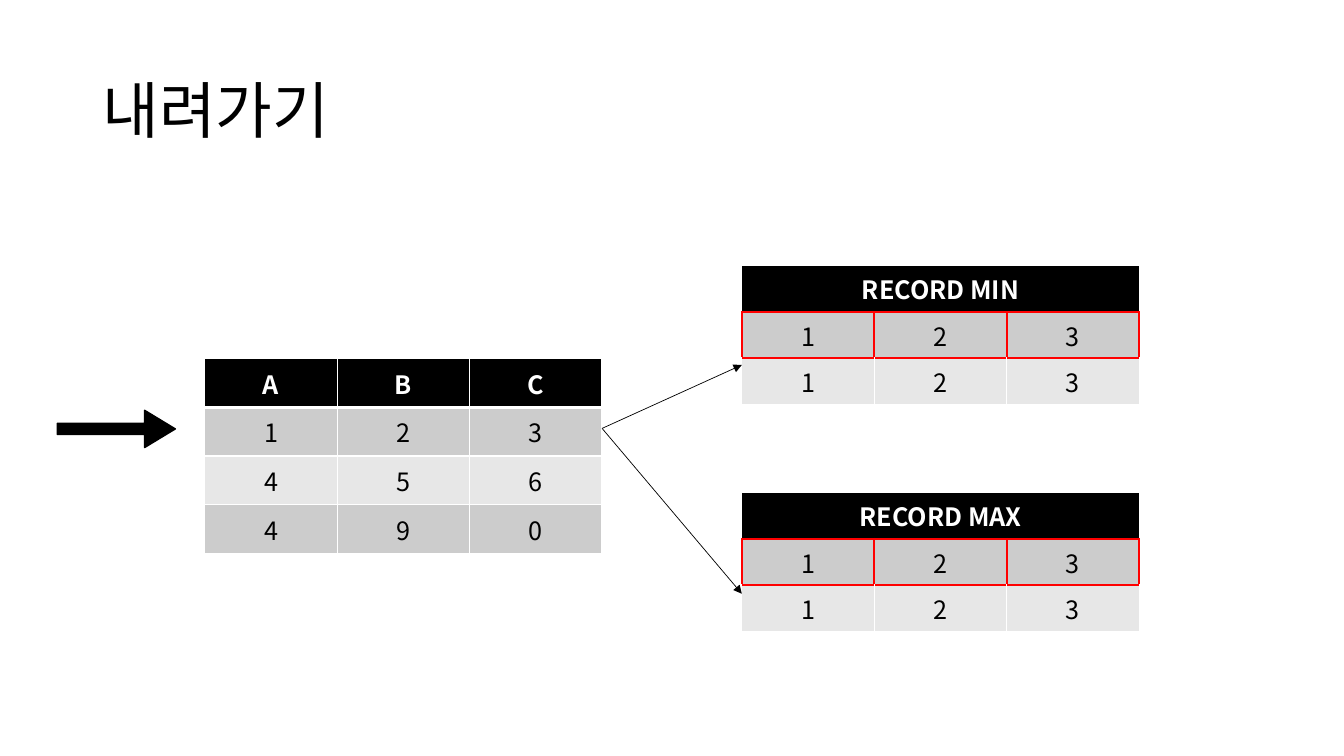
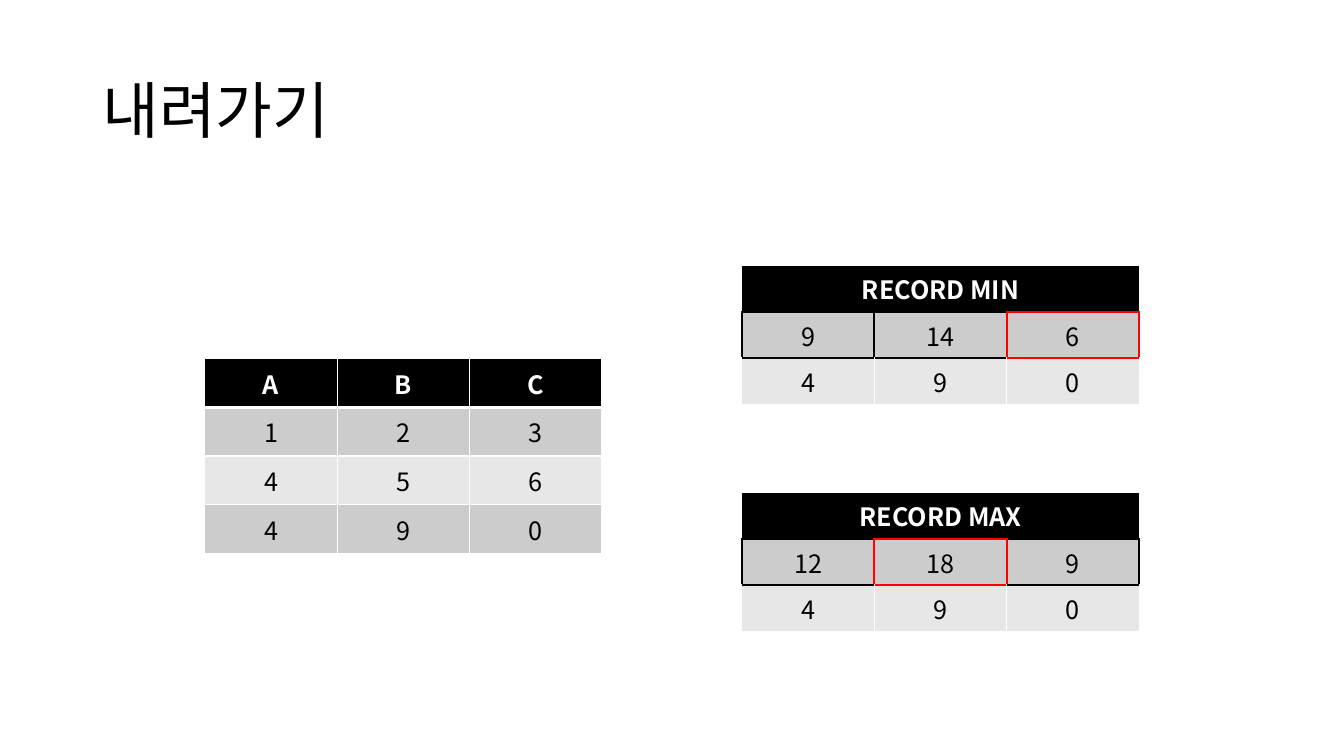
import pptx
import pptx.util
import pptx.dml.color
import pptx.enum.shapes
import pptx.enum.text
import pptx.oxml.ns
import lxml.etree

Pt = pptx.util.Pt
RGB = pptx.dml.color.RGBColor
qn = pptx.oxml.ns.qn

# Content: each record has its rows and the columns outlined in red
TITLE = "내려가기"
GRID = [("A", "B", "C"), ("1", "2", "3"), ("4", "5", "6"), ("4", "9", "0")]
STEPS = [
    {
        "records": [
            ("RECORD MIN", [("1", "2", "3"), ("1", "2", "3")], {0, 1, 2}),
            ("RECORD MAX", [("1", "2", "3"), ("1", "2", "3")], {0, 1, 2}),
        ],
        "arrows": True,
    },
    {
        "records": [
            ("RECORD MIN", [("9", "14", "6"), ("4", "9", "0")], {2}),
            ("RECORD MAX", [("12", "18", "9"), ("4", "9", "0")], {1}),
        ],
        "arrows": False,
    },
]

# Shared look
FONT = "Noto Sans CJK KR"
BLACK, WHITE = RGB(0, 0, 0), RGB(255, 255, 255)
RED = RGB(255, 0, 0)
DARK_BAND, LIGHT_BAND = RGB(0xCC, 0xCC, 0xCC), RGB(0xE7, 0xE7, 0xE7)
COLUMNS, COLUMN_WIDTH = 3, 94.6
GRID_LEFT, GRID_TOP, GRID_ROW = 146.3, 256.2, 34.8
RECORD_LEFT, RECORD_TOPS, RECORD_ROW = 529.9, (189.4, 351.5), 29.1
POINTER = (41, 293.1, 84.3, 26.6)
BRANCH_START = (GRID_LEFT + COLUMNS * COLUMN_WIDTH, 306)
BRANCH_ENDS = [(RECORD_LEFT, 260.7), (RECORD_LEFT, 424.1)]


def add_run(paragraph, text, size, color, bold=False):
    run = paragraph.add_run()
    run.text = text
    run.font.size, run.font.bold, run.font.name = Pt(size), bold, FONT
    run.font.color.rgb = color
    east_asian = lxml.etree.SubElement(run.font._element, qn("a:ea"))
    east_asian.set("typeface", FONT)


def set_borders(cell, edges):
    """edges: (colour, width) for left, right, top and bottom."""
    properties = cell._tc.get_or_add_tcPr()
    for side, (color, width) in zip("LRTB", edges):
        line = lxml.etree.SubElement(properties, qn("a:ln" + side), w=str(Pt(width)))
        fill = lxml.etree.SubElement(line, qn("a:solidFill"))
        lxml.etree.SubElement(fill, qn("a:srgbClr"), val=str(color))


def add_title(slide):
    title = slide.shapes.title
    title.left, title.top, title.width, title.height = Pt(66), Pt(28.8), Pt(828), Pt(104.4)
    frame = title.text_frame
    frame.auto_size = pptx.enum.text.MSO_AUTO_SIZE.NONE
    frame.vertical_anchor = pptx.enum.text.MSO_ANCHOR.MIDDLE
    paragraph = frame.paragraphs[0]
    paragraph.alignment = pptx.enum.text.PP_ALIGN.LEFT
    paragraph.line_spacing = 0.9
    add_run(paragraph, TITLE, 44, BLACK)


def add_grid(slide, rows, left, top, row_height, edges_of):
    """Banded table; edges_of(row, column) gives the borders of a cell."""
    table = slide.shapes.add_table(
        len(rows), COLUMNS, Pt(left), Pt(top),
        Pt(COLUMNS * COLUMN_WIDTH), Pt(len(rows) * row_height)).table
    table.first_row = table.horz_banding = False
    for column in table.columns:
        column.width = Pt(COLUMN_WIDTH)
    for r, values in enumerate(rows):
        table.rows[r].height = Pt(row_height)
        header = r == 0
        for c in range(COLUMNS):
            cell = table.cell(r, c)
            set_borders(cell, edges_of(r, c))
            cell.fill.solid()
            cell.fill.fore_color.rgb = (
                BLACK if header else DARK_BAND if r % 2 else LIGHT_BAND)
            cell.vertical_anchor = pptx.enum.text.MSO_ANCHOR.MIDDLE
            if c < len(values):
                paragraph = cell.text_frame.paragraphs[0]
                paragraph.alignment = pptx.enum.text.PP_ALIGN.CENTER
                add_run(paragraph, values[c], 18, WHITE if header else BLACK, header)
        if len(values) == 1:
            table.cell(r, 0).merge(table.cell(r, COLUMNS - 1))


def grid_edges(r, c):
    thin, thick = (WHITE, 1), (WHITE, 3)
    return thin, thin, thick if r == 1 else thin, thick if r == 0 else thin


def record_edges(outlined):
    """The first value row is framed: red round outlined cells, else black."""
    def frame(*columns):
        return (RED if outlined.intersection(columns) else BLACK), 1.5

    def edges_of(r, c):
        thin = (WHITE, 1)
        if r == 0:
            return thin, thin, thin, frame(c)
        if r == 1:
            return frame(c - 1, c), frame(c, c + 1), frame(c), frame(c)
        return thin, thin, frame(c), thin
    return edges_of


def add_arrows(slide):
    pointer = slide.shapes.add_shape(
        pptx.enum.shapes.MSO_SHAPE.RIGHT_ARROW, *map(Pt, POINTER))
    pointer.adjustments[0], pointer.adjustments[1] = 0.3, 0.825
    pointer.shadow.inherit = False
    pointer.fill.solid()
    pointer.fill.fore_color.rgb = pointer.line.color.rgb = BLACK
    pointer.line.width = Pt(1)
    for end in BRANCH_ENDS:
        branch = slide.shapes.add_connector(
            pptx.enum.shapes.MSO_CONNECTOR.STRAIGHT, *map(Pt, BRANCH_START + end))
        branch.line.color.rgb = BLACK
        branch.line.width = Pt(0.5)
        lxml.etree.SubElement(branch.line._get_or_add_ln(), qn("a:tailEnd"), type="triangle")
        lxml.etree.SubElement(branch._element.spPr, qn("a:effectLst"))


# Build the slides
deck = pptx.Presentation()
deck.slide_width, deck.slide_height = Pt(960), Pt(540)
title_only = deck.slide_layouts[5]
for step in STEPS:
    slide = deck.slides.add_slide(title_only)
    add_title(slide)
    add_grid(slide, GRID, GRID_LEFT, GRID_TOP, GRID_ROW, grid_edges)
    for top, (name, values, outlined) in zip(RECORD_TOPS, step["records"]):
        add_grid(slide, [(name,)] + values, RECORD_LEFT, top, RECORD_ROW,
                 record_edges(outlined))
    if step["arrows"]:
        add_arrows(slide)
deck.save("out.pptx")
